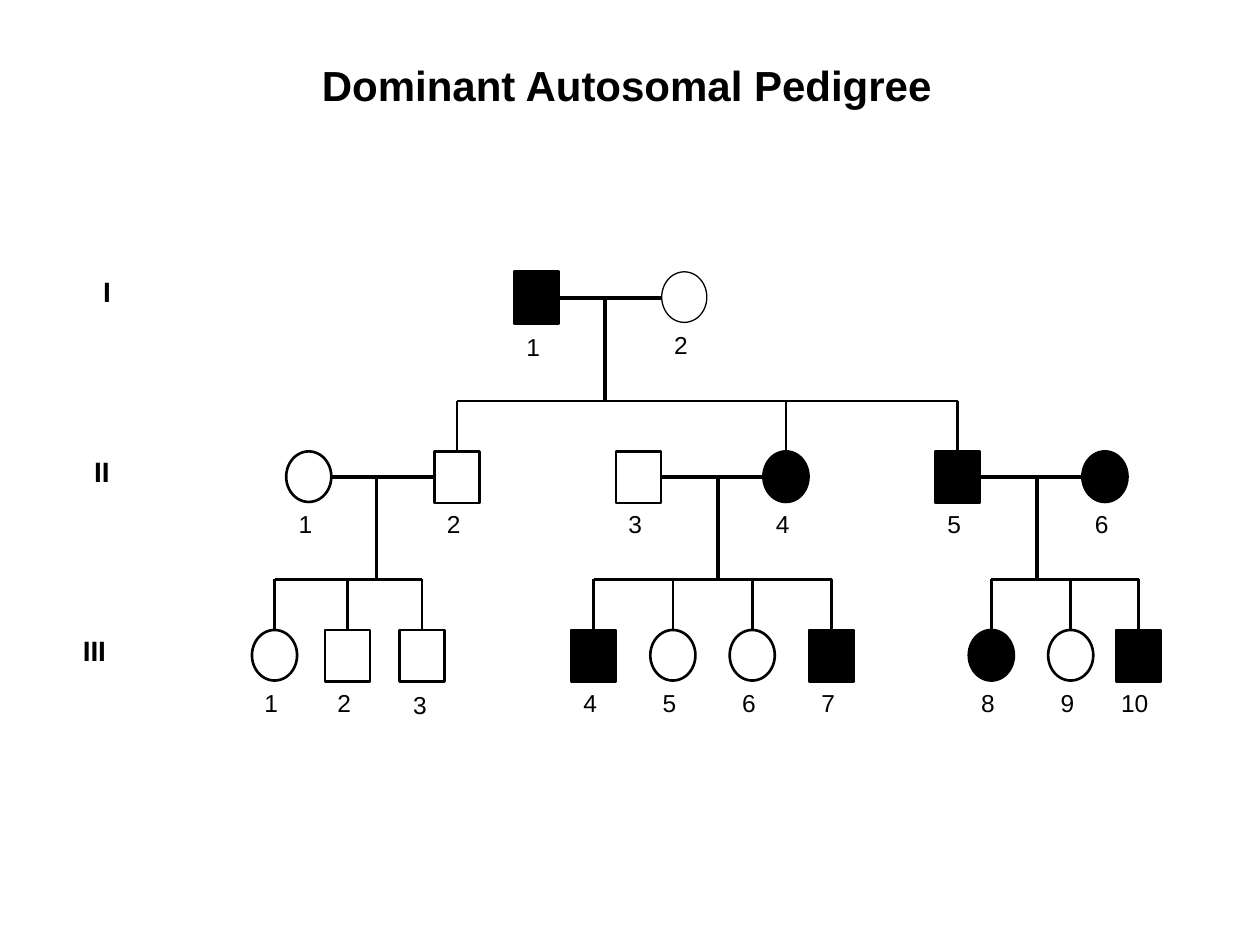
"""Draw a three-generation pedigree chart on one slide."""
from dataclasses import dataclass

from lxml import etree
from pptx import Presentation
from pptx.dml.color import RGBColor
from pptx.enum.shapes import MSO_CONNECTOR, MSO_SHAPE
from pptx.enum.text import MSO_ANCHOR, MSO_AUTO_SIZE, PP_ALIGN
from pptx.oxml.ns import qn
from pptx.slide import Slide
from pptx.text.text import TextFrame
from pptx.util import Cm, Pt

BLACK = RGBColor(0, 0, 0)
FONT = "Arial"
MALE, FEMALE = MSO_SHAPE.RECTANGLE, MSO_SHAPE.OVAL
STRAIGHT = MSO_CONNECTOR.STRAIGHT
TOP, LEFT, CENTER = MSO_ANCHOR.TOP, PP_ALIGN.LEFT, PP_ALIGN.CENTER
NO_FIT = MSO_AUTO_SIZE.NONE
SIZE = 0.91
TALL = {MALE: 1.04, FEMALE: 1.02}
HALF = 0.52
STEM = 1.02
THIN, THICK = 1.5, 2.25


@dataclass
class Person:
    sex: MSO_SHAPE
    left: float
    ill: bool = False
    line: float = THIN
    shift: float = 0
    drop: float = 0


@dataclass
class Row:
    name: str
    left: float
    wide: float
    top: float
    people: list[Person]


@dataclass
class Family:
    row: int
    pair: tuple[int, int]
    stem: float
    kids: list[int]


ROWS = [
    Row("I", 1.83, 0.66, 5.48, [
        Person(MALE, 10.36, True, drop=0.04),
        Person(FEMALE, 13.34, line=0.75),
    ]),
    Row("II", 1.65, 0.81, 9.1, [
        Person(FEMALE, 5.77),
        Person(MALE, 8.76),
        Person(MALE, 12.42),
        Person(FEMALE, 15.39, True),
        Person(MALE, 18.85, True),
        Person(FEMALE, 21.82, True),
    ]),
    Row("III", 1.42, 0.97, 12.7, [
        Person(FEMALE, 5.08),
        Person(MALE, 6.55),
        Person(MALE, 8.05, shift=0.03, drop=0.05),
        Person(MALE, 11.51, True),
        Person(FEMALE, 13.11),
        Person(FEMALE, 14.71),
        Person(MALE, 16.31, True),
        Person(FEMALE, 19.53, True),
        Person(FEMALE, 21.13),
        Person(MALE, 22.5, True, shift=-0.15),
    ]),
]
FAMILIES = [
    Family(0, (1, 2), 12.19, [2, 4, 5]),
    Family(1, (1, 2), 7.59, [1, 2, 3]),
    Family(1, (3, 4), 14.48, [4, 5, 6, 7]),
    Family(1, (5, 6), 20.9, [8, 9, 10]),
]


def write(frame: TextFrame, text: str, size: float, bold: bool, align: PP_ALIGN) -> None:
    frame.text = text
    frame.word_wrap = False
    frame.auto_size = NO_FIT
    frame.vertical_anchor = TOP
    part = frame.paragraphs[0]
    part.alignment = align
    font = part.runs[0].font
    font.name, font.size, font.bold = FONT, Pt(size), bold
    font.color.rgb = BLACK


def label(slide: Slide, text: str, left: float, top: float, wide: float,
          size: float, bold: bool = False) -> None:
    box = slide.shapes.add_textbox(Cm(left), Cm(top), Cm(wide), Cm(0.86))
    write(box.text_frame, text, size, bold, LEFT)


def link(slide: Slide, x1: float, y1: float, x2: float, y2: float, width: float) -> None:
    line = slide.shapes.add_connector(STRAIGHT, Cm(x1), Cm(y1), Cm(x2), Cm(y2))
    line.line.color.rgb = BLACK
    line.line.width = Pt(width)
    etree.SubElement(line._element.spPr, qn("a:effectLst"))


def draw_family(slide: Slide, family: Family) -> None:
    row, below = ROWS[family.row], ROWS[family.row + 1]
    one, two = (row.people[n - 1] for n in family.pair)
    mid, bar = row.top + HALF, below.top - STEM
    spots = [below.people[n - 1].left + SIZE / 2 for n in family.kids]
    link(slide, one.left + SIZE, mid, two.left, mid, THICK)
    link(slide, family.stem, mid, family.stem, bar, THICK)
    link(slide, spots[0], bar, spots[-1], bar, THIN)
    for spot in spots:
        link(slide, spot, bar, spot, below.top, THIN)


def draw_person(slide: Slide, one: Person, num: str, top: float) -> None:
    mark = slide.shapes.add_shape(
        one.sex, Cm(one.left), Cm(top), Cm(SIZE), Cm(TALL[one.sex]))
    mark.shadow.inherit = False
    mark.line.color.rgb = BLACK
    mark.line.width = Pt(one.line)
    if one.ill:
        mark.fill.solid()
        mark.fill.fore_color.rgb = BLACK
    else:
        mark.fill.background()
    wide = 0.54 + 0.25 * len(num)
    label(slide, num, one.left + one.shift, top + 1.04 + one.drop, wide, 14)


def draw_row(slide: Slide, row: Row) -> None:
    label(slide, row.name, row.left, row.top - 0.06, row.wide, 16, True)
    for num, one in enumerate(row.people, 1):
        draw_person(slide, one, str(num), row.top)


def main() -> None:
    deck = Presentation()
    deck.slide_width, deck.slide_height = Cm(25.4), Cm(19.05)
    slide = deck.slides.add_slide(deck.slide_layouts[5])
    title = slide.shapes.title
    title.left, title.top = Cm(6.22), Cm(1.07)
    title.width, title.height = Cm(12.83), Cm(1.27)
    write(title.text_frame, "Dominant Autosomal Pedigree", 24, True, CENTER)
    for family in FAMILIES:
        draw_family(slide, family)
    for row in ROWS:
        draw_row(slide, row)
    deck.save("out.pptx")


if __name__ == "__main__":
    main()
